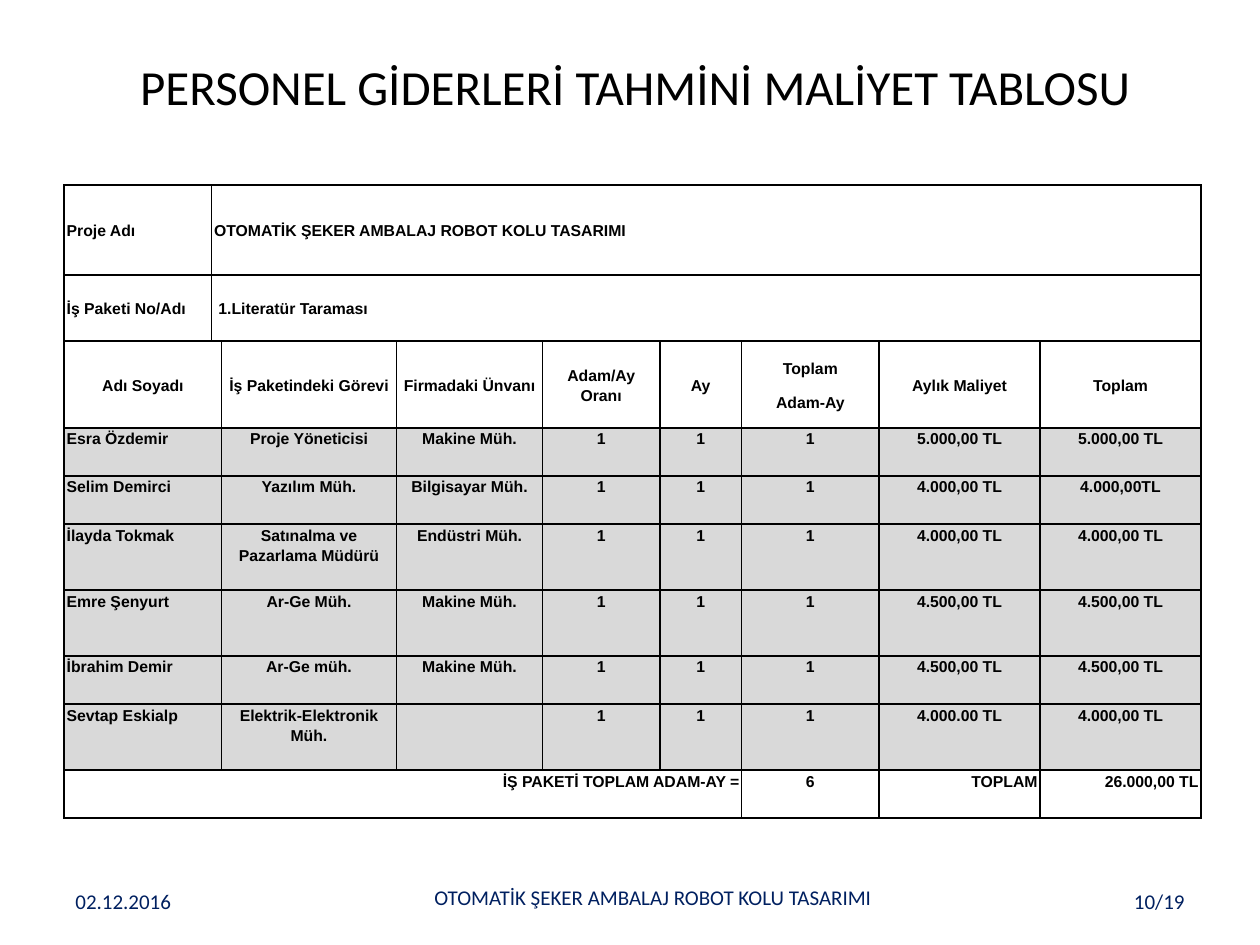
import dataclasses
import typing

import lxml.etree
import pptx
import pptx.dml.color
import pptx.enum.text
import pptx.oxml.ns
import pptx.util

Pt = pptx.util.Pt
LEFT, CENTER, RIGHT = (pptx.enum.text.PP_ALIGN[name] for name in ("LEFT", "CENTER", "RIGHT"))
TOP, MIDDLE = pptx.enum.text.MSO_ANCHOR.TOP, pptx.enum.text.MSO_ANCHOR.MIDDLE


@dataclasses.dataclass(frozen=True)
class Theme:
    heading_font: str = "Calibri"
    table_font: str = "Arial"
    title_size: float = 28
    footer_size: float = 12
    table_size: float = 9
    ink: str = "000000"
    footer: str = "002060"
    staff_fill: str = "D9D9D9"
    border_width: float = 1


class Box(typing.NamedTuple):
    left: float
    top: float
    width: float
    height: float


class Footer(typing.NamedTuple):
    text: str
    box: Box
    align: pptx.enum.text.PP_ALIGN


@dataclasses.dataclass(frozen=True)
class RowStyle:
    starts: tuple[int, ...]
    aligns: tuple[pptx.enum.text.PP_ALIGN, ...]
    anchor: pptx.enum.text.MSO_ANCHOR = TOP
    before: float = 4.8
    after: float = 3.6
    fill: str | None = None


class Row(typing.NamedTuple):
    style: RowStyle
    height: float
    texts: tuple[str, ...]


THEME = Theme()
PROJECT = "OTOMATİK ŞEKER AMBALAJ ROBOT KOLU TASARIMI"
TITLE_BOX = Box(38.9, 15.1, 648, 67.7)
FOOTERS = (
    Footer("02.12.2016", Box(36, 500.4, 168, 28.8), LEFT),
    Footer(PROJECT, Box(205.2, 498.2, 336, 28.8), CENTER),
    Footer("10/19", Box(516, 500.4, 168, 28.8), RIGHT),
)
TABLE_LEFT, TABLE_TOP = 36.7, 105.8
COLUMN_WIDTHS = (84.2, 3.6, 100, 83.5, 67, 46.8, 78.5, 92, 92)
STAFF_STARTS = (0, 2, 3, 4, 5, 6, 7, 8)
PROJECT_STYLE = RowStyle((0, 1), (LEFT, LEFT), MIDDLE, 0, 8)
HEADING_STYLE = RowStyle(STAFF_STARTS, (CENTER,) * 8, MIDDLE, 0, 8)
STAFF_STYLE = RowStyle(STAFF_STARTS, (LEFT,) + (CENTER,) * 7, fill=THEME.staff_fill)
TOTAL_STYLE = RowStyle((0, 6, 7, 8), (RIGHT, CENTER, RIGHT, RIGHT))
SHORT, TALL = 27.5, 37.7


def staff_row(height: float, name: str, duty: str, position: str, cost: str, total: str) -> Row:
    """Return the row of one person working one month at full rate."""
    return Row(STAFF_STYLE, height, (name, duty, position, "1", "1", "1", cost, total))


ROWS = (
    Row(PROJECT_STYLE, 51.4, ("Proje Adı", PROJECT)),
    Row(PROJECT_STYLE, TALL, ("İş Paketi No/Adı", " 1.Literatür Taraması")),
    Row(HEADING_STYLE, 49.7, (
        "Adı Soyadı", "İş Paketindeki Görevi", "Firmadaki Ünvanı", "Adam/Ay Oranı",
        "Ay", "Toplam\nAdam-Ay", "Aylık Maliyet", "Toplam")),
    staff_row(SHORT, "Esra Özdemir", "Proje Yöneticisi", "Makine Müh.", "5.000,00 TL", "5.000,00 TL"),
    staff_row(SHORT, "Selim Demirci", "Yazılım Müh.", "Bilgisayar Müh.", "4.000,00 TL", "4.000,00TL"),
    staff_row(TALL, "İlayda Tokmak", "Satınalma ve Pazarlama Müdürü", "Endüstri Müh.",
              "4.000,00 TL", "4.000,00 TL"),
    staff_row(TALL, "Emre Şenyurt", "Ar-Ge Müh.", "Makine Müh.", "4.500,00 TL", "4.500,00 TL"),
    staff_row(SHORT, "İbrahim Demir", "Ar-Ge müh.", "Makine Müh.", "4.500,00 TL", "4.500,00 TL"),
    staff_row(TALL, "Sevtap Eskialp", "Elektrik-Elektronik Müh.", "", "4.000.00 TL", "4.000,00 TL"),
    Row(TOTAL_STYLE, SHORT, ("İŞ PAKETİ TOPLAM ADAM-AY =", "6", "TOPLAM", "26.000,00 TL")),
)


def write_text(text_frame, text: str, *, font: str, size: float, color: str,
               align=LEFT, bold: bool = False, line_spacing: float = 1,
               before: float = 0, after: float = 0) -> None:
    """Write text, one paragraph a line, in the given format."""
    text_frame.word_wrap = True
    text_frame.text = text
    for paragraph in text_frame.paragraphs:
        paragraph.alignment = align
        paragraph.line_spacing = line_spacing
        paragraph.space_before, paragraph.space_after = Pt(before), Pt(after)
        for run in paragraph.runs:
            run.font.name, run.font.size, run.font.bold = font, Pt(size), bold
            run.font.color.rgb = pptx.dml.color.RGBColor.from_string(color)


def add_title(slide, text: str, box: Box) -> None:
    """Place and format the title placeholder."""
    title = slide.shapes.title
    title.left, title.top, title.width, title.height = map(Pt, box)
    title.text_frame.vertical_anchor = MIDDLE
    write_text(title.text_frame, text, font=THEME.heading_font,
               size=THEME.title_size, color=THEME.ink, align=CENTER)


def add_footer(slide, footer: Footer) -> None:
    """Add one footer text box."""
    shape = slide.shapes.add_textbox(*map(Pt, footer.box))
    shape.text_frame.vertical_anchor = MIDDLE
    write_text(shape.text_frame, footer.text, font=THEME.heading_font,
               size=THEME.footer_size, color=THEME.footer, align=footer.align)


def set_borders(cell) -> None:
    """Draw a solid line on every side of a cell."""
    qualified = pptx.oxml.ns.qn
    properties = cell._tc.get_or_add_tcPr()
    for index, side in enumerate(("a:lnL", "a:lnR", "a:lnT", "a:lnB")):
        line = lxml.etree.Element(qualified(side), w=str(Pt(THEME.border_width)))
        fill = lxml.etree.SubElement(line, qualified("a:solidFill"))
        lxml.etree.SubElement(fill, qualified("a:srgbClr"), val=THEME.ink)
        properties.insert(index, line)


def format_cell(cell, style: RowStyle) -> None:
    """Set the fill, insets, anchor and borders of a cell."""
    if style.fill:
        cell.fill.solid()
        cell.fill.fore_color.rgb = pptx.dml.color.RGBColor.from_string(style.fill)
    else:
        cell.fill.background()
    cell.margin_left = cell.margin_right = Pt(1.44)
    cell.margin_top = cell.margin_bottom = Pt(0)
    cell.vertical_anchor = style.anchor
    set_borders(cell)


def fill_row(table, index: int, row: Row) -> None:
    """Format, merge and write the cells of one row."""
    style = row.style
    table.rows[index].height = Pt(row.height)
    for cell in table.rows[index].cells:
        format_cell(cell, style)
    ends = style.starts[1:] + (len(COLUMN_WIDTHS),)
    for start, end, text, align in zip(style.starts, ends, row.texts, style.aligns):
        cell = table.cell(index, start)
        if end - start > 1:
            cell.merge(table.cell(index, end - 1))
        if text:
            write_text(cell.text_frame, text, font=THEME.table_font, size=THEME.table_size,
                       color=THEME.ink, align=align, bold=True, line_spacing=1.15,
                       before=style.before, after=style.after)


def add_cost_table(slide) -> None:
    """Add the staff cost table."""
    box = Box(TABLE_LEFT, TABLE_TOP, sum(COLUMN_WIDTHS), sum(row.height for row in ROWS))
    table = slide.shapes.add_table(len(ROWS), len(COLUMN_WIDTHS), *map(Pt, box)).table
    table.first_row = table.horz_banding = False
    for column, width in zip(table.columns, COLUMN_WIDTHS):
        column.width = Pt(width)
    for index, row in enumerate(ROWS):
        fill_row(table, index, row)


def main() -> None:
    """Build and save the presentation."""
    presentation = pptx.Presentation()
    presentation.slide_width, presentation.slide_height = Pt(720), Pt(540)
    slide = presentation.slides.add_slide(presentation.slide_layouts[5])
    add_title(slide, "PERSONEL GİDERLERİ TAHMİNİ MALİYET TABLOSU", TITLE_BOX)
    for footer in FOOTERS:
        add_footer(slide, footer)
    add_cost_table(slide)
    presentation.save("out.pptx")


if __name__ == "__main__":
    main()
